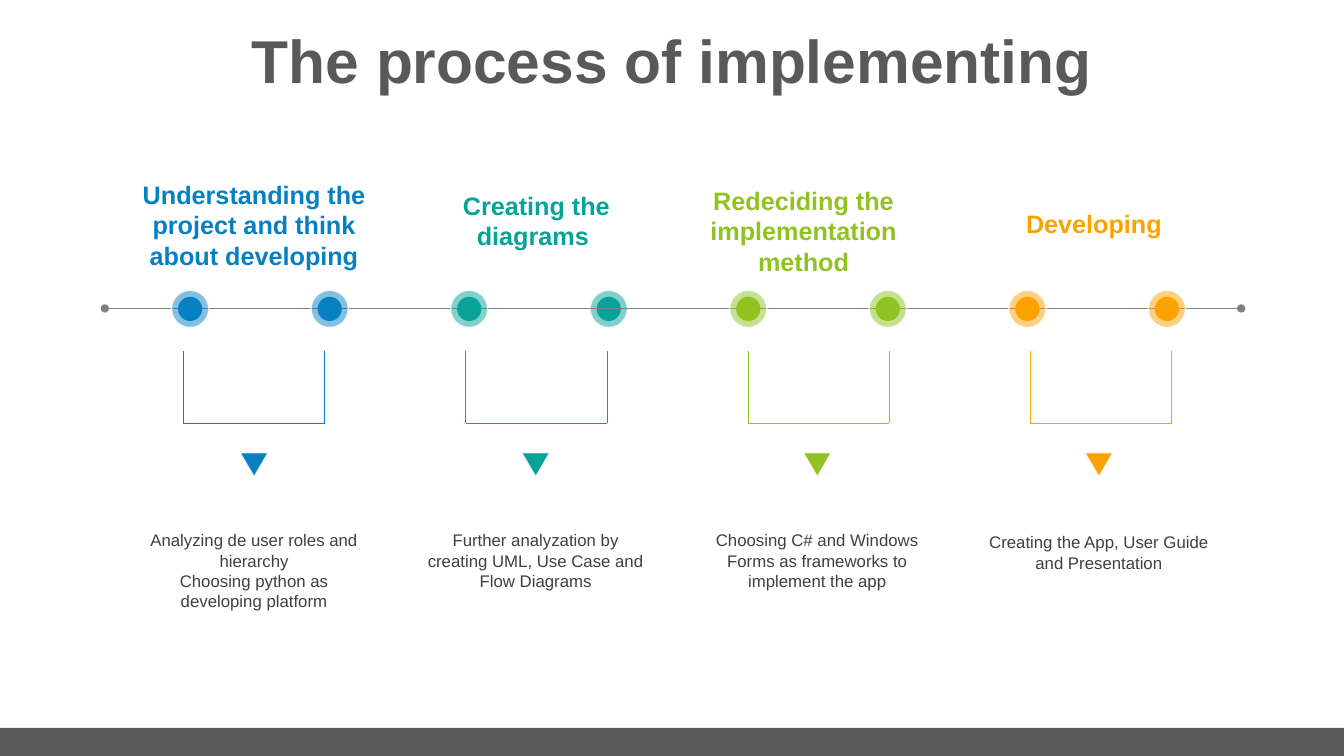
from lxml.etree import SubElement
from pptx import Presentation
from pptx.dml.color import RGBColor
from pptx.enum.shapes import MSO_CONNECTOR, MSO_SHAPE
from pptx.enum.text import MSO_ANCHOR, PP_ALIGN
from pptx.oxml.ns import qn
from pptx.util import Inches, Pt

BLUE = RGBColor(0x06, 0x80, 0xC3)
TEAL = RGBColor(0x07, 0xA3, 0x98)
GREEN = RGBColor(0x90, 0xC2, 0x21)
ORANGE = RGBColor(0xFB, 0xA2, 0x00)
WHITE = RGBColor(0xFF, 0xFF, 0xFF)
BAR = RGBColor(0x59, 0x59, 0x59)
AXIS = RGBColor(0x7F, 0x7F, 0x7F)
TEXT = RGBColor(0x3F, 0x3F, 0x3F)

COLS, ROWS = 133.3, 75
STAGES = [
    (BLUE, "Understanding the project and think about developing", (14, 17.3, 10.1),
     "Analyzing de user roles and hierarchy\nChoosing python as developing platform", (52.1, 9.1)),
    (TEAL, "Creating the diagrams ", (42, 18.4, 7.1),
     "Further analyzation by creating UML, Use Case and Flow Diagrams", (52.1, 7.1)),
    (GREEN, "Redeciding the implementation method", (68.5, 17.9, 10.1),
     "Choosing C# and Windows Forms as frameworks to implement the app", (52.1, 7.1)),
    (ORANGE, "Developing", (97.3, 20.2, 4),
     "Creating the App, User Guide and Presentation", (52.3, 5)),
]


class Deck:
    """Draws styled elements on one slide, measured in grid cells of a tenth of an inch."""

    cell = Inches(0.1)
    font = "Arial"

    def __init__(self):
        self.prs = Presentation()
        self.prs.slide_width, self.prs.slide_height = self.grid(COLS, ROWS)
        self.s = self.prs.slides.add_slide(self.prs.slide_layouts[5])

    def grid(self, *cells):
        return [round(c * self.cell) for c in cells]

    def alpha(self, fill, percent):
        color = fill._xPr.find(qn("a:solidFill"))[0]
        SubElement(color, qn("a:alpha")).set("val", str(percent * 1000))

    def style_text(self, tf, text, size, color, bold=False):
        tf.text = text
        tf.word_wrap = True
        fmt = {"name": self.font, "size": Pt(size), "bold": bold}
        for p in tf.paragraphs:
            p.alignment = PP_ALIGN.CENTER
            for r in p.runs:
                for key, value in fmt.items():
                    setattr(r.font, key, value)
                r.font.color.rgb = color

    def title(self, text, box):
        sp = self.s.shapes.title
        for key, value in zip(("left", "top", "width", "height"), self.grid(*box)):
            setattr(sp, key, value)
        self.style_text(sp.text_frame, text, 43.2, BAR, True)
        sp.text_frame.vertical_anchor = MSO_ANCHOR.MIDDLE
        sp.text_frame.paragraphs[0].line_spacing = 0.9

    def label(self, text, box, size, color, bold=False):
        tf = self.s.shapes.add_textbox(*self.grid(*box)).text_frame
        tf.margin_left = tf.margin_right = 0
        self.style_text(tf, text, size, color, bold)

    def shape(self, kind, box, color, opacity=100, outline=False, rotation=0):
        sp = self.s.shapes.add_shape(kind, *self.grid(*box))
        sp.shadow.inherit = False
        sp.rotation = rotation
        sp.fill.solid()
        sp.fill.fore_color.rgb = color
        if opacity < 100:
            self.alpha(sp.fill, opacity)
        if outline:
            sp.line.width = Pt(1)
            sp.line.color.rgb = WHITE
            self.alpha(sp.line.fill, 80)
        else:
            sp.line.fill.background()

    def line(self, ends, color, width, dots=False):
        cx = self.s.shapes.add_connector(MSO_CONNECTOR.STRAIGHT, *self.grid(*ends))
        cx.line.color.rgb = color
        cx.line.width = Pt(width)
        if dots:
            for tag in ("a:headEnd", "a:tailEnd"):
                SubElement(cx.line._get_or_add_ln(), qn(tag)).set("type", "oval")
        SubElement(cx._element.spPr, qn("a:effectLst"))

    def dot(self, i):
        x, y, color = 18.86 + 13.84 * i, 30.65, STAGES[i // 2][0]
        for d, opacity, outline in ((3.7, 50, True), (2.4, 100, False)):
            self.shape(MSO_SHAPE.OVAL, (x - d / 2, y - d / 2, d, d), color, opacity, outline)

    def bracket(self, left, color):
        right, top, bottom = left + 14, 34.8, 42
        for ends in ((left, top, left, bottom), (right, bottom, left, bottom),
                     (right, top, right, bottom)):
            self.line(ends, color, 0.5)

    def stage(self, i, color, heading, place, caption, rows):
        x, y, h = place
        step = 27.93 * i
        self.label(heading, (x, y, 22.4, h), 18, color, True)
        self.bracket(18.2 + 28 * i, color)
        self.shape(MSO_SHAPE.ISOSCELES_TRIANGLE, (23.8 + step, 44.9, 2.8, 2.4), color,
                   outline=True, rotation=180)
        self.label(caption, (14 + step, rows[0], 22.4, rows[1]), 12, TEXT)


def main():
    deck = Deck()
    deck.shape(MSO_SHAPE.RECTANGLE, (0, 72.2, COLS, 2.8), BAR)
    deck.title("The process of implementing", (0, 2.1, COLS, 8.5))
    deck.dot(3)
    deck.line((10.4, 30.6, 123.1, 30.6), AXIS, 1.25, dots=True)
    for i in (0, 1, 2, 4, 5, 6, 7):
        deck.dot(i)
    for i, stage in enumerate(STAGES):
        deck.stage(i, *stage)
    deck.prs.save("out.pptx")


if __name__ == "__main__":
    main()
